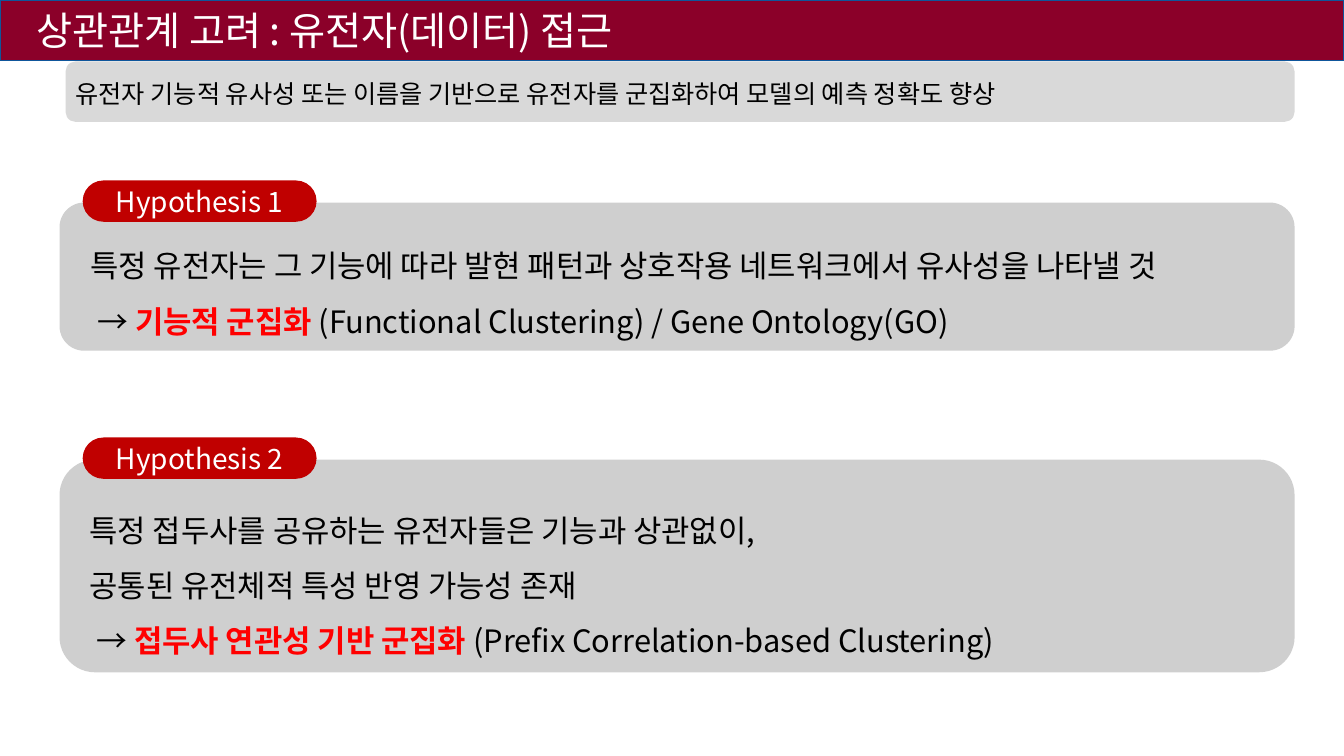
from lxml.etree import SubElement
from pptx import Presentation
from pptx.dml.color import RGBColor
from pptx.enum.shapes import MSO_SHAPE as Shape
from pptx.enum.text import MSO_ANCHOR as Anchor, MSO_AUTO_SIZE as Fit, PP_ALIGN as Align
from pptx.oxml.ns import qn
from pptx.util import Inches, Pt

FONT = "Noto Sans CJK KR"
BLACK, WHITE, RED = "000000", "FFFFFF", "FF0000"

# Content: runs are (text, is key phrase)
TITLE = "상관관계 고려 : 유전자(데이터) 접근"
LEAD = "유전자 기능적 유사성 또는 이름을 기반으로 유전자를 군집화하여 모델의 예측 정확도 향상"
CARDS = [
    {"tag": "Hypothesis 1", "top": 2.01, "high": 1.47, "text": (0.8, 2.22, 12.2, 1.21),
     "lines": [
         [("특정 유전자는 그 기능에 따라 발현 패턴과 상호작용 네트워크에서 유사성을 나타낼 것", False)],
         [(" → ", False), ("기능적 군집화 ", True),
          ("(Functional Clustering) / Gene Ontology(GO)", False)]]},
    {"tag": "Hypothesis 2", "top": 4.56, "high": 2.11, "text": (0.79, 4.84, 9.6, 1.7),
     "lines": [
         [("특정 접두사를 공유하는 유전자들은 기능과 상관없이,", False)],
         [("공통된 유전체적 특성 반영 가능성 존재", False)],
         [(" → ", False), ("접두사 연관성 기반 군집화 ", True),
          ("(Prefix Correlation-based Clustering)", False)]]},
]

deck = Presentation()
deck.slide_width, deck.slide_height = Inches(13.33), Inches(7.5)
slide = deck.slides.add_slide(deck.slide_layouts[5])
shapes = slide.shapes


def color(code):
    return RGBColor.from_string(code)


def style(run, size, code, bold=False):
    font = run.font
    font.name, font.size, font.bold = FONT, Pt(size), bold
    font.color.rgb = color(code)
    # Korean letters take the East Asian typeface
    SubElement(run._r.get_or_add_rPr(), qn("a:ea"), typeface=FONT)


def block(kind, box, fill):
    shape = shapes.add_shape(kind, *map(Inches, box))
    shape.shadow.inherit = False
    shape.fill.solid()
    shape.fill.fore_color.rgb = color(fill)
    shape.line.fill.background()
    return shape


def write(box, lines, size, space=None):
    frame = shapes.add_textbox(*map(Inches, box)).text_frame
    frame.word_wrap = True
    for i, runs in enumerate(lines):
        para = frame.add_paragraph() if i else frame.paragraphs[0]
        para.line_spacing = space
        for text, key in runs:
            run = para.add_run()
            run.text = text
            style(run, size, RED if key else BLACK, key)


# Title over its band
band = block(Shape.RECTANGLE, (0, 0, 13.33, 0.6), "8B0029")
band.line.color.rgb = color("0F569B")
band.line.width = Pt(1)
title = shapes.title
title._element.addprevious(band._element)
title.left, title.top, title.width, title.height = map(Inches, (0.26, 0.01, 12.82, 0.57))
frame = title.text_frame
frame.text = TITLE
frame.auto_size = Fit.NONE
frame.vertical_anchor = Anchor.TOP
frame.paragraphs[0].alignment = Align.LEFT
style(frame.paragraphs[0].runs[0], 28, WHITE)

# Hypothesis cards, each with a tag across its top edge
for card in CARDS:
    block(Shape.ROUNDED_RECTANGLE, (0.59, card["top"], 12.25, card["high"]), "CFCFCF")
    write(card["text"], card["lines"], 22, 1.5)
    tag = block(Shape.ROUNDED_RECTANGLE, (0.82, card["top"] - 0.22, 2.32, 0.41), "C00000")
    tag.adjustments[0] = 0.5
    frame = tag.text_frame
    frame.text = card["tag"]
    frame.vertical_anchor = Anchor.MIDDLE
    frame.paragraphs[0].alignment = Align.CENTER
    style(frame.paragraphs[0].runs[0], 20, WHITE)

# Lead sentence
block(Shape.ROUNDED_RECTANGLE, (0.65, 0.61, 12.19, 0.6), "D9D9D9")
write((0.65, 0.73, 12.33, 0.4), [[(LEAD, False)]], 18)

deck.save("out.pptx")
